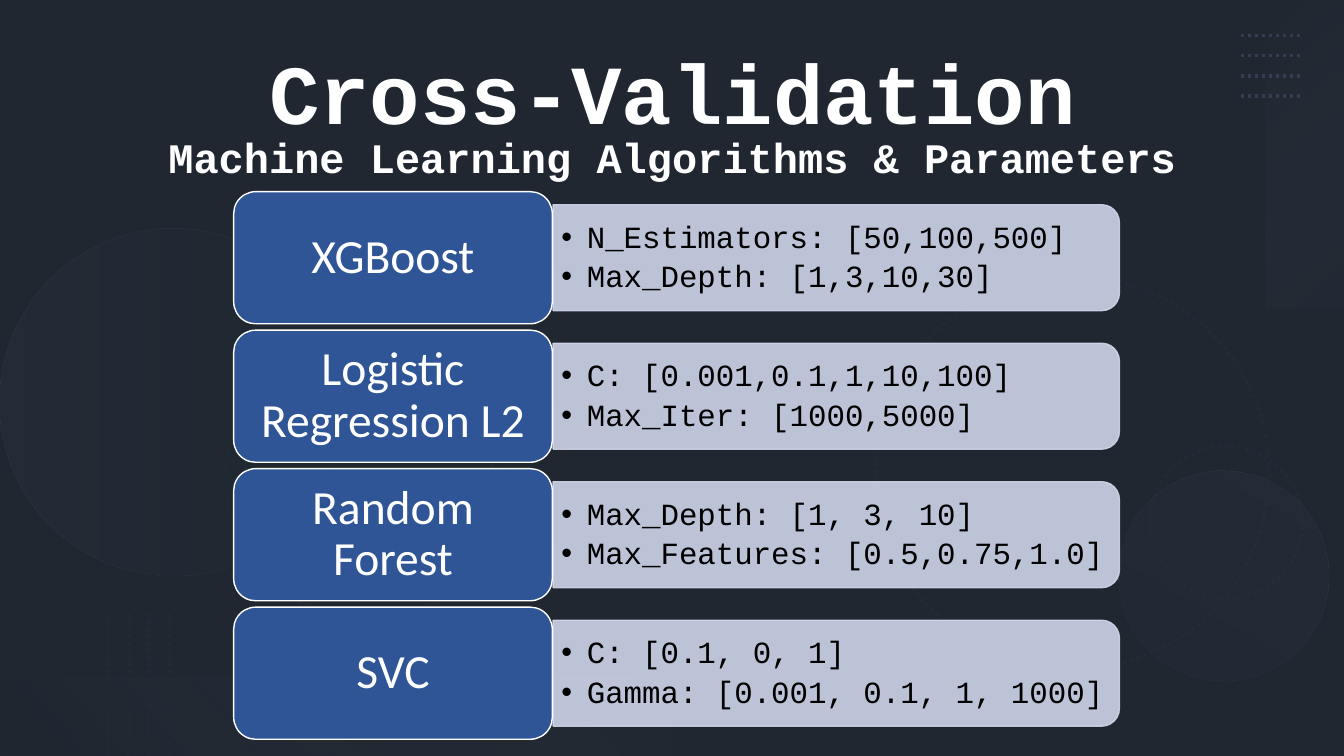
import itertools
import pptx
import pptx.dml.color
import pptx.enum.dml
import pptx.enum.shapes
import pptx.enum.text
import pptx.oxml.ns
import pptx.oxml.xmlchemy
import pptx.util

Cm, Pt = pptx.util.Cm, pptx.util.Pt
Kind = pptx.enum.shapes.MSO_SHAPE
Align = pptx.enum.text.PP_ALIGN
Anchor = pptx.enum.text.MSO_ANCHOR
qn = pptx.oxml.ns.qn
make = pptx.oxml.xmlchemy.OxmlElement

WIDE, HIGH = 33.87, 19.05
PITCH = 3.49
COLORS = {
    "slate": "44546A", "black": "000000", "white": "FFFFFF",
    "dark": "222A35", "steel": "333F50", "mist": "ADB9CA", "haze": "8497B0",
    "blue": "2F5597", "pale": "CFD5EA",
}
MODELS = [
    ("XGBoost", ["N_Estimators: [50,100,500]", "Max_Depth: [1,3,10,30]"]),
    ("Logistic Regression L2", ["C: [0.001,0.1,1,10,100]", "Max_Iter: [1000,5000]"]),
    ("Random Forest", ["Max_Depth: [1, 3, 10]", "Max_Features: [0.5,0.75,1.0]"]),
    ("SVC", ["C: [0.1, 0, 1]", "Gamma: [0.001, 0.1, 1, 1000]"]),
]


class Board:
    """Style and current slide, with one method per kind of element."""

    def __init__(self, slide):
        self.slide = slide
        self.mono = "Courier New"
        self.sans = "Calibri"

    def color(self, name):
        return pptx.dml.color.RGBColor.from_string(COLORS[name])

    def fade(self, shape, *alphas):
        """Set the opacity percents of the shape's colours, in turn."""
        nodes = shape._element.spPr.iter(qn("a:srgbClr"))
        for node, alpha in zip(list(nodes), itertools.cycle(alphas)):
            mark = make("a:alpha")
            mark.set("val", str(alpha * 1000))
            node.append(mark)

    def stroke(self, line, name, width, dots=False):
        line.color.rgb = self.color(name)
        line.width = Pt(width)
        if dots:
            line.dash_style = pptx.enum.dml.MSO_LINE.ROUND_DOT

    def shape(self, kind, box, fill=None, turn=0):
        shape = self.slide.shapes.add_shape(kind, *map(Cm, box))
        shape.shadow.inherit = False
        shape.rotation = turn
        shape.line.fill.background()
        if fill:
            shape.fill.solid()
            shape.fill.fore_color.rgb = self.color(fill)
        else:
            shape.fill.background()
        return shape

    def ring(self, left, top, size, turn, dots=True):
        ring = self.shape(Kind.OVAL, (left, top, size, size), turn=turn)
        self.stroke(ring.line, "dark", 2.5, dots)

    def glow(self, kind, box, turn, angle, stops):
        """Add a shape with a see-through gradient of (place, colour, alpha) stops."""
        shape = self.shape(kind, box, turn=turn)
        shape.fill.gradient()
        shape.fill.gradient_angle = 360 - angle
        for stop, (place, name, _) in zip(shape.fill.gradient_stops, stops):
            stop.position = place
            stop.color.rgb = self.color(name)
        self.fade(shape, *(alpha for _, _, alpha in stops))

    def dots(self, *ends):
        line = self.slide.shapes.add_connector(
            pptx.enum.shapes.MSO_CONNECTOR.STRAIGHT, *map(Cm, ends))
        self.stroke(line.line, "steel" if ends[1] == ends[3] else "dark", 2.5, True)
        line._element.spPr.append(make("a:effectLst"))

    def text(self, shape, lines, sizes, font, tint, space, after=0,
             bold=False, align=Align.CENTER, anchor=Anchor.MIDDLE, inset=(0.25, 0.13)):
        frame = shape.text_frame
        frame.word_wrap = True
        frame.vertical_anchor = anchor
        frame.margin_left = frame.margin_right = Cm(inset[0])
        frame.margin_top = frame.margin_bottom = Cm(inset[1])
        frame.text = "\n".join(lines)
        for para, size in zip(frame.paragraphs, sizes):
            para.alignment = align
            para.line_spacing = space
            para.space_after = Pt(after)
            for run in para.runs:
                run.font.size = Pt(size)
                run.font.name = font
                run.font.bold = bold
                run.font.color.rgb = self.color(tint)
        return frame

    def box(self, *place):
        return self.slide.shapes.add_textbox(*map(Cm, place))

    def bullet(self, para):
        props = para._p.get_or_add_pPr()
        props.set("marL", str(Cm(0.64)))
        props.set("indent", str(-Cm(0.64)))
        face = make("a:buFont")
        face.set("typeface", "Arial")
        mark = make("a:buChar")
        mark.set("char", "•")
        props.extend([face, mark])

    def row(self, index, name, params):
        """Add one model: its pale bar, its parameters and its label."""
        drop = index * PITCH
        bar = self.shape(Kind.ROUND_2_SAME_RECTANGLE,
                         (19.74, drop - 0.64, 2.67, 14.27), "pale", 90)
        self.stroke(bar.line, "pale", 1)
        self.fade(bar, 90)
        frame = self.text(self.box(13.92, 5.31 + drop, 14.15, 2.39), params, [22, 22],
                          self.mono, "black", 0.9, 4.5, align=Align.LEFT,
                          inset=(0.23, 0.13))
        for para in frame.paragraphs:
            self.bullet(para)
        label = self.shape(Kind.ROUNDED_RECTANGLE,
                           (5.89, 4.83 + drop, 8.03, 3.33), "blue")
        self.stroke(label.line, "white", 1)
        self.text(label, [name], [34], self.sans, "white", 0.9, inset=(0.36, 0.18))


def decorate(board):
    full = (0, 0, WIDE, HIGH)
    board.shape(Kind.RECTANGLE, full, "slate")
    board.fade(board.shape(Kind.RECTANGLE, full, "black"), 53)
    board.ring(22.07, 6.96, 9.91, 75)
    board.ring(28.98, 11.25, 3.84, 270)
    board.glow(Kind.OVAL, (0, 5.77, 8.74, 8.74), 270, 90,
               [(0, "steel", 20), (1, "dark", 10)])
    board.glow(Kind.OVAL, (28.19, 11.86, 5.28, 5.28), 210, 90,
               [(0, "steel", 10), (1, "steel", 20)])
    board.ring(5.69, 8.46, 7.16, 75)
    board.ring(6.17, 8.86, 6.22, 75, dots=False)
    board.glow(Kind.RECTANGLE, (29.01, 2.9, 7.77, 1.98), 270, 140,
               [(0, "mist", 0), (1, "steel", 10)])
    for step in range(4):
        level = 0.89 + step * 0.51
        board.dots(31.27, level, 32.79, level)
    board.glow(Kind.RECTANGLE, (0, 17.07, 16.94, 1.98), 180, 140,
               [(0.1, "dark", 10), (1, "haze", 0)])
    for step in range(4):
        across = 4.27 - step * 0.51
        board.dots(across, 15.47, across, HIGH)


def main():
    deck = pptx.Presentation()
    deck.slide_width, deck.slide_height = Cm(WIDE), Cm(HIGH)
    board = Board(deck.slides.add_slide(deck.slide_layouts[6]))
    decorate(board)
    board.text(board.box(2.34, 1.02, 29.21, 3.68),
               ["Cross-Validation", "Machine Learning Algorithms & Parameters"],
               [60, 30], board.mono, "white", 0.8, bold=True, anchor=Anchor.BOTTOM)
    for index, (name, params) in enumerate(MODELS):
        board.row(index, name, params)
    deck.save("out.pptx")


if __name__ == "__main__":
    main()
